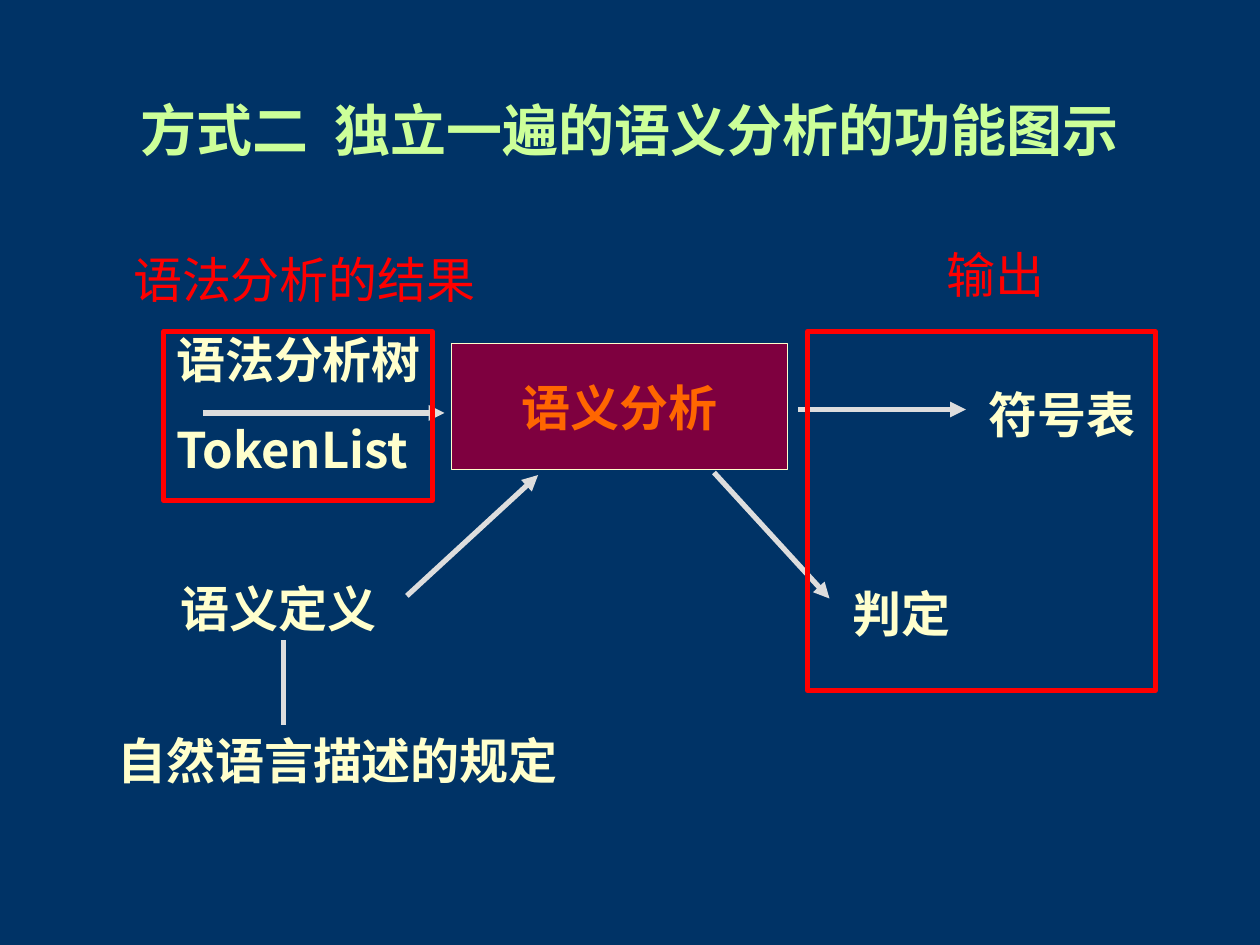
from lxml import etree
from pptx import Presentation
from pptx.dml.color import RGBColor
from pptx.enum.shapes import MSO_CONNECTOR, MSO_SHAPE
from pptx.enum.text import MSO_ANCHOR, PP_ALIGN
from pptx.oxml.ns import qn
from pptx.util import Pt

RECT = MSO_SHAPE.RECTANGLE
STRAIGHT = MSO_CONNECTOR.STRAIGHT
MIDDLE = MSO_ANCHOR.MIDDLE
CENTER = PP_ALIGN.CENTER
SANS, SERIF = "Noto Sans CJK SC", "Times New Roman"
CREAM, RED = "FFFFCC", "FF0000"


def rgb(color):
    return RGBColor.from_string(color)


def format_text(p, size, color, bold, font):
    """Format the paragraph's only run, with a Chinese font beside the Latin one."""
    r = p.runs[0]
    r.font.size = Pt(size)
    r.font.bold = bold
    r.font.color.rgb = rgb(color)
    r.font.name = font
    etree.SubElement(r._r.get_or_add_rPr(), qn("a:ea"), typeface=SANS)


prs = Presentation()
prs.slide_width, prs.slide_height = Pt(720), Pt(540)
s = prs.slides.add_slide(prs.slide_layouts[5])
s.background.fill.solid()
s.background.fill.fore_color.rgb = rgb("003366")

# Title
title = s.shapes.title
title.left, title.top, title.width, title.height = Pt(36.7), Pt(31.7), Pt(646.6), Pt(90)
tf = title.text_frame
tf.text = "方式二  独立一遍的语义分析的功能图示"
tf.vertical_anchor = MIDDLE
p = tf.paragraphs[0]
p.alignment = CENTER
p.line_spacing = 0.85
format_text(p, 32, "CCFF99", True, SERIF)

# Central process
sp = s.shapes.add_shape(RECT, Pt(258), Pt(196.5), Pt(192), Pt(72))
sp.shadow.inherit = False
sp.fill.solid()
sp.fill.fore_color.rgb = rgb("7E003F")
sp.line.color.rgb = rgb(CREAM)
sp.line.width = Pt(0.75)
tf = sp.text_frame
tf.text = "语义分析"
tf.word_wrap = False
tf.vertical_anchor = MIDDLE
tf.paragraphs[0].alignment = CENTER
format_text(tf.paragraphs[0], 28, "FF6600", True, SANS)

# Flow lines: start x, start y, end x, end y, arrowhead
flows = [
    (116, 236, 254, 236, True),
    (232.5, 340.5, 307.5, 271.5, True),
    (162, 366, 162, 414, False),
    (456, 234, 552, 234, True),
    (408, 270, 474, 342, True),
]
for x1, y1, x2, y2, arrow in flows:
    line = s.shapes.add_connector(STRAIGHT, Pt(x1), Pt(y1), Pt(x2), Pt(y2))
    line.line.color.rgb = rgb("DDDDDD")
    line.line.width = Pt(3)
    if arrow:
        etree.SubElement(line.line._get_or_add_ln(), qn("a:tailEnd"), type="triangle")
    etree.SubElement(line._element.spPr, qn("a:effectLst"))

# Labels: text, left, top, width, colour, bold, font
labels = [
    ("语法分析树", 93.6, 185, 162, CREAM, True, SANS),
    ("TokenList", 93.6, 236, 150, CREAM, True, SANS),
    ("语义定义", 96, 327, 162, CREAM, True, SANS),
    ("自然语言描述的规定", 60, 414, 271.5, CREAM, True, SANS),
    ("符号表", 558, 216, 132, CREAM, True, SANS),
    ("判定", 480, 330, 108, CREAM, True, SANS),
    ("语法分析的结果", 69, 139, 215, RED, False, SERIF),
    ("输出", 534, 136, 108, RED, False, SERIF),
]
for text, x, y, w, color, bold, font in labels:
    tf = s.shapes.add_textbox(Pt(x), Pt(y), Pt(w), Pt(41)).text_frame
    tf.word_wrap = True
    tf.text = text
    format_text(tf.paragraphs[0], 28, color, bold, font)

# Frames around the inputs and the outputs
for x, y, w, h in [(93.6, 189.4, 153.4, 96.5), (461.5, 189.4, 198.7, 205.2)]:
    frame = s.shapes.add_shape(RECT, Pt(x), Pt(y), Pt(w), Pt(h))
    frame.shadow.inherit = False
    frame.fill.background()
    frame.line.color.rgb = rgb(RED)
    frame.line.width = Pt(3)

prs.save("out.pptx")
